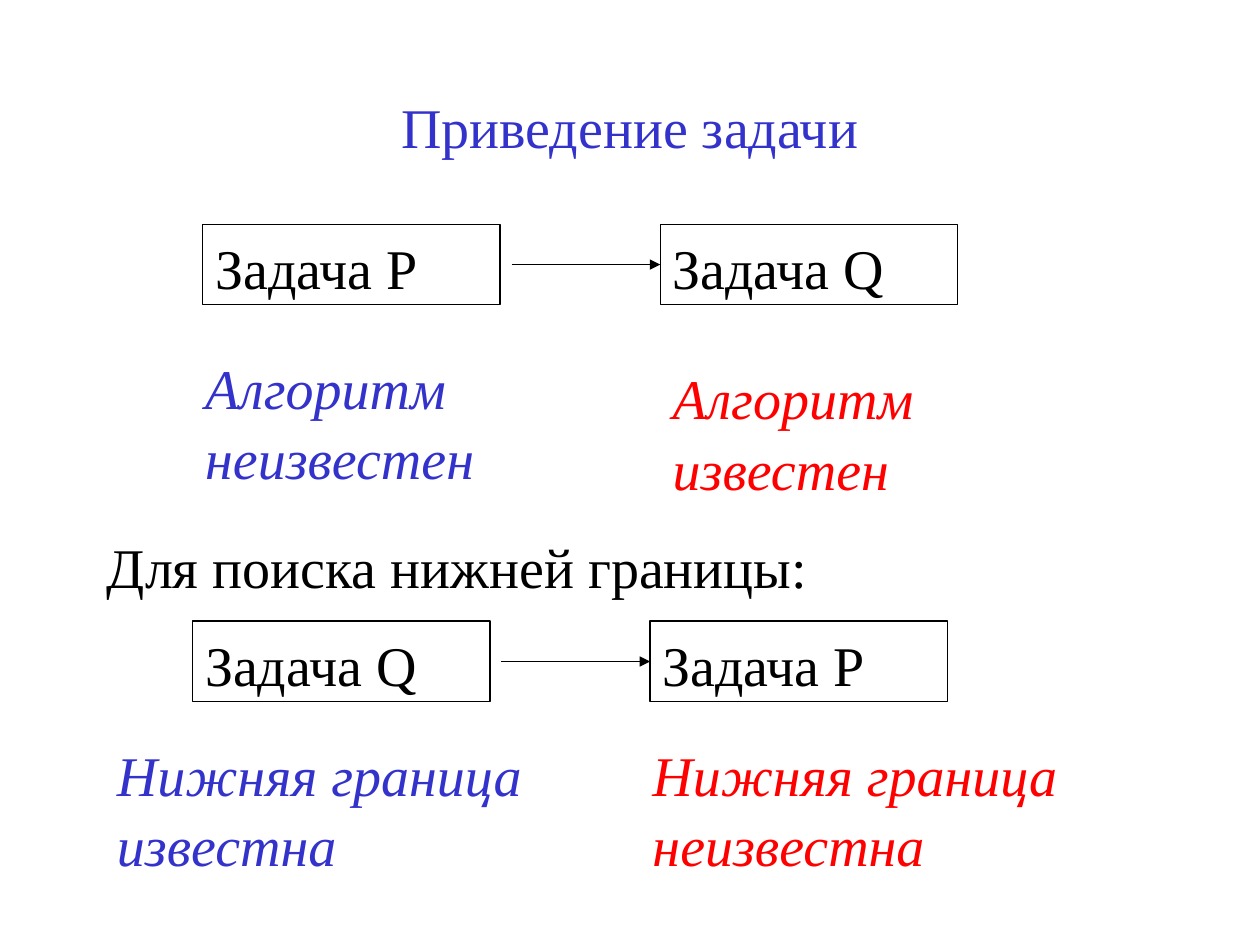
from lxml import etree
from pptx import Presentation
from pptx import util as u
from pptx.dml.color import RGBColor
from pptx.enum import shapes, text
from pptx.oxml.ns import qn

COLORS = {"black": "000000", "blue": "3333CC", "red": "FF0000"}
FONT = "Times New Roman"
BOX_W, BOX_H = 2.36, 0.64
BOX_STEP = 3.63
ARROW_GAP = 0.09


def rgb(name):
    return RGBColor.from_string(COLORS[name])


def write(sp, wording, color="black", italic=False, align=text.PP_ALIGN.LEFT,
          anchor=text.MSO_ANCHOR.TOP):
    tf = sp.text_frame
    tf.word_wrap = True
    tf.vertical_anchor = anchor
    p = tf.paragraphs[0]
    p.alignment = align
    p.line_spacing = 1.05
    r = p.add_run()
    r.text = wording
    r.font.name = FONT
    r.font.size = u.Pt(32)
    r.font.italic = italic
    r.font.color.rgb = rgb(color)


def add_label(s, x, y, w, h, wording, **style):
    sp = s.shapes.add_textbox(u.Inches(x), u.Inches(y), u.Inches(w), u.Inches(h))
    write(sp, wording, **style)


def add_box(group, x, y, wording):
    sp = group.shapes.add_shape(shapes.MSO_SHAPE.RECTANGLE, u.Inches(x), u.Inches(y),
                                u.Inches(BOX_W), u.Inches(BOX_H))
    sp.shadow.inherit = False
    sp.fill.background()
    sp.line.color.rgb = rgb("black")
    sp.line.width = u.Pt(0.75)
    write(sp, wording)


def add_arrow(group, x1, x2, y):
    line = group.shapes.add_connector(shapes.MSO_CONNECTOR.STRAIGHT, u.Inches(x1),
                                      u.Inches(y), u.Inches(x2), u.Inches(y))
    line.line.color.rgb = rgb("black")
    line.line.width = u.Pt(0.75)
    etree.SubElement(line.line._get_or_add_ln(), qn("a:tailEnd"), type="triangle")
    etree.SubElement(line._element.spPr, qn("a:effectLst"))


def add_reduction(s, x, y, source, target):
    group = s.shapes.add_group_shape()
    add_box(group, x, y, source)
    add_box(group, x + BOX_STEP, y, target)
    add_arrow(group, x + BOX_W + ARROW_GAP, x + BOX_STEP, y + BOX_H / 2)


def main():
    prs = Presentation()
    prs.slide_width, prs.slide_height = u.Inches(10), u.Inches(7.5)
    s = prs.slides.add_slide(prs.slide_layouts[6])

    add_label(s, 0.75, 0.36, 8.5, 1.25, "Приведение задачи", color="blue",
              align=text.PP_ALIGN.CENTER, anchor=text.MSO_ANCHOR.MIDDLE)

    add_reduction(s, 1.61, 1.78, "Задача P", "Задача Q")
    add_label(s, 1.53, 2.73, 2.52, 1.17, "Алгоритм неизвестен", color="blue", italic=True)
    add_label(s, 5.24, 2.81, 2.52, 1.17, "Алгоритм известен", color="red", italic=True)

    add_label(s, 0.75, 4.15, 8.5, 0.64, "Для поиска нижней границы:")

    add_reduction(s, 1.53, 4.93, "Задача Q", "Задача P")
    add_label(s, 0.83, 5.8, 3.62, 1.17, "Нижняя граница известна", color="blue", italic=True)
    add_label(s, 5.08, 5.8, 3.62, 1.17, "Нижняя граница неизвестна", color="red", italic=True)

    prs.save("out.pptx")


if __name__ == "__main__":
    main()
